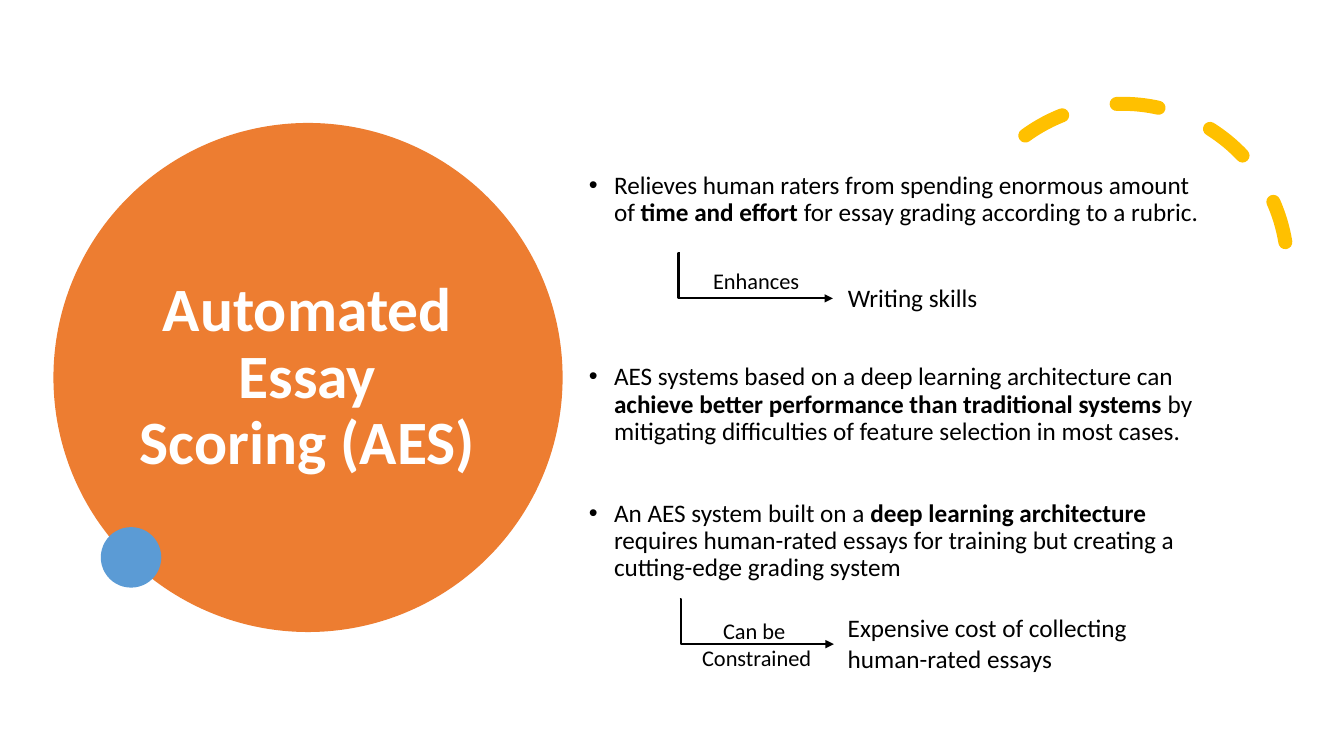
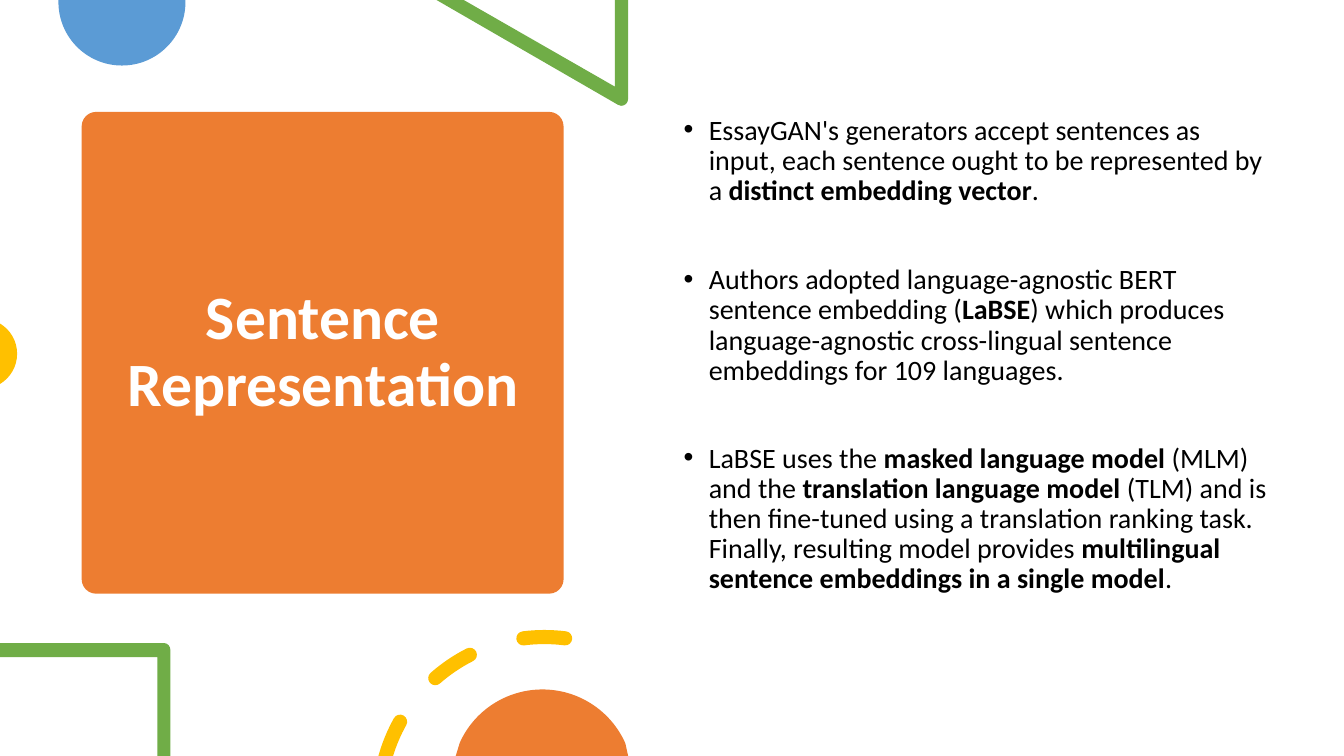
from dataclasses import dataclass
from math import asin, cos, degrees, radians, sin, tan

from lxml import etree
from pptx import Presentation
from pptx.dml.color import RGBColor
from pptx.enum.dml import MSO_LINE
from pptx.enum.shapes import MSO_CONNECTOR, MSO_SHAPE
from pptx.enum.text import MSO_ANCHOR, MSO_AUTO_SIZE, PP_ALIGN
from pptx.oxml.ns import qn
from pptx.util import Pt

ELLIPSE = MSO_SHAPE.OVAL
ROUNDED = MSO_SHAPE.ROUNDED_RECTANGLE
ARC = MSO_SHAPE.ARC
ELBOW = MSO_CONNECTOR.ELBOW
DASH = MSO_LINE.DASH
TOP, MIDDLE = MSO_ANCHOR.TOP, MSO_ANCHOR.MIDDLE
LEFT, CENTER = PP_ALIGN.LEFT, PP_ALIGN.CENTER
NO_AUTOFIT = MSO_AUTO_SIZE.NONE

EMU_PER_PX = 9144
SLIDE_WIDTH, SLIDE_HEIGHT = 1333, 750
INDENT = 25
FONT = "Calibri"
COLORS = {
    "orange": "ED7D31",
    "blue": "5B9BD5",
    "gold": "FFC000",
    "green": "70AD47",
    "white": "FFFFFF",
    "black": "000000",
}

Point = tuple[float, float]
Segment = tuple[Point, ...]


@dataclass(frozen=True)
class Box:
    left: int
    top: int
    width: int
    height: int

    def emu(self) -> list[int]:
        return [px(value) for value in (self.left, self.top, self.width, self.height)]


@dataclass(frozen=True)
class TextStyle:
    size: int
    color: str = "black"
    bold: bool = False
    alignment: PP_ALIGN = LEFT
    line_spacing: float = 1.0
    anchor: MSO_ANCHOR = TOP


@dataclass(frozen=True)
class Bullet:
    text: str
    space_before: int = 0


@dataclass(frozen=True)
class Label:
    box: Box
    lines: tuple[str, ...]
    style: TextStyle


@dataclass(frozen=True)
class ElbowArrow:
    box: Box
    bend: int


TITLE_STYLE = TextStyle(44, "white", True, CENTER, 0.9, MIDDLE)
ARROW_STYLE = TextStyle(16, alignment=CENTER)
RESULT_STYLE = TextStyle(18)

SCORING_BULLETS = (
    Bullet(
        "Relieves human raters from spending enormous amount of **time and effort **"
        "for essay grading according to a rubric."
    ),
    Bullet(
        "AES systems based on a deep learning architecture can **achieve better "
        "performance than traditional systems **by mitigating difficulties of "
        "feature selection in most cases.",
        98,
    ),
    Bullet(
        "An AES system built on a **deep learning architecture **requires human-rated "
        "essays for training but creating a cutting-edge grading system",
        39,
    ),
)
SENTENCE_BULLETS = (
    Bullet(
        "EssayGAN's generators accept sentences as input, each sentence ought to be "
        "represented by a **distinct embedding vector**."
    ),
    Bullet(
        "Authors adopted language-agnostic BERT sentence embedding (**LaBSE**) which "
        "produces language-agnostic cross-lingual sentence embeddings for 109 languages.",
        42,
    ),
    Bullet(
        "LaBSE uses the **masked language model **(MLM) and the **translation language "
        "model **(TLM) and is then fine-tuned using a translation ranking task. Finally, "
        "resulting model provides **multilingual sentence embeddings in a single model**.",
        41,
    ),
)
LABELS = (
    Label(Box(674, 607, 153, 64), ("Can be ", "Constrained"), ARROW_STYLE),
    Label(
        Box(831, 603, 316, 71),
        ("Expensive cost of collecting", "human-rated essays"),
        RESULT_STYLE,
    ),
    Label(Box(831, 275, 168, 40), ("Writing skills",), RESULT_STYLE),
    Label(Box(686, 260, 128, 37), ("Enhances",), ARROW_STYLE),
)
ARROWS = (
    ElbowArrow(Box(674, 594, 153, 45), 700),
    ElbowArrow(Box(674, 251, 152, 45), -700),
)

RING_CENTER = (540, 796)
RING_RADIUS = 164
DASH_RADIUS = 7
DASH_SWEEP = 14.5
DASH_STARTS = [194.7 + 34 * index for index in range(3)]


def px(value: float) -> int:
    return round(value * EMU_PER_PX)


def color(name: str) -> RGBColor:
    return RGBColor.from_string(COLORS[name])


def apply_format(target, values: dict) -> None:
    for name, value in values.items():
        setattr(target, name, value)


def on_circle(center: Point, radius: float, angle: float) -> Point:
    return (
        center[0] + radius * cos(radians(angle)),
        center[1] + radius * sin(radians(angle)),
    )


def lines(*points: Point) -> list[Segment]:
    return [(point,) for point in points]


def curve(center: Point, radius: float, start: float, end: float, count: int = 1) -> list[Segment]:
    step = (end - start) / count
    handle = 4 / 3 * tan(radians(step) / 4) * radius
    segments = []
    for index in range(count):
        first, last = start + index * step, start + (index + 1) * step
        begin, finish = (on_circle(center, radius, angle) for angle in (first, last))
        segments.append((
            on_circle(begin, handle, first + 90),
            on_circle(finish, handle, last - 90),
            finish,
        ))
    return segments


def dash_outline(start: float) -> list[Segment]:
    end = start + DASH_SWEEP
    outer, inner = RING_RADIUS + DASH_RADIUS, RING_RADIUS - DASH_RADIUS
    depth = RING_CENTER[1] - SLIDE_HEIGHT
    outer_start, inner_start = (
        max(start, 180 + degrees(asin(depth / radius))) for radius in (outer, inner)
    )
    end_center = on_circle(RING_CENTER, RING_RADIUS, end)
    outline = [
        *lines(on_circle(RING_CENTER, outer, outer_start)),
        *curve(RING_CENTER, outer, outer_start, end),
        *curve(end_center, DASH_RADIUS, end, end + 180, 2),
        *curve(RING_CENTER, inner, end, inner_start),
    ]
    if outer_start == start:
        start_center = on_circle(RING_CENTER, RING_RADIUS, start)
        outline += curve(start_center, DASH_RADIUS, start + 180, start + 360, 2)
    return outline


OUTLINES = (
    ("blue", [[*lines((184, 0), (58, 0), (58, 2)), *curve((121, 2), 63, 180, 0, 2)]]),
    ("green", [[
        *lines((623, 0), (610, 0), (610, 86), (460, 0), (433, 0), (613, 104)),
        ((614, 105), (615, 105), (616, 105)),
        ((620, 105), (623, 102), (623, 98)),
    ]]),
    ("gold", [[*lines((0, 321), (0, 381)), *curve((-18, 351), 35, 59, -59, 2)]]),
    ("green", [[
        *lines((163, 638), (0, 638), (0, 652), (156, 652), (156, 750), (169, 750), (169, 645)),
        ((169, 641), (166, 638), (163, 638)),
    ]]),
    ("gold", [dash_outline(start) for start in DASH_STARTS]),
    ("orange", [[
        *lines((452, 750), (456, 737)),
        *curve((538, 774), 90, 204, 336, 2),
        *lines((623, 750)),
    ]]),
)


def paint(shape, fill: str) -> None:
    shape.shadow.inherit = False
    shape.fill.solid()
    shape.fill.fore_color.rgb = color(fill)
    shape.line.fill.background()


def add_filled(slide, kind: MSO_SHAPE, box: Box, fill: str):
    shape = slide.shapes.add_shape(kind, *box.emu())
    paint(shape, fill)
    return shape


def bend_lines(shape, segments: list[Segment]) -> None:
    vertices = iter(list(shape._element.iter(qn("a:lnTo"))))
    for segment in segments:
        group = [next(vertices) for _ in segment]
        if len(group) == 3:
            bezier = etree.Element(qn("a:cubicBezTo"))
            group[0].addprevious(bezier)
            for vertex in group:
                bezier.append(vertex[0])
                vertex.getparent().remove(vertex)


def add_outline(slide, fill: str, contours: list[list[Segment]]) -> None:
    builder = None
    for contour in contours:
        (start,), *segments = contour
        origin = px(start[0]), px(start[1])
        if builder:
            builder.move_to(*origin)
        else:
            builder = slide.shapes.build_freeform(*origin)
        points = [(px(x), px(y)) for segment in segments for x, y in segment]
        builder.add_line_segments(points, close=True)
    shape = builder.convert_to_shape()
    bend_lines(shape, [segment for contour in contours for segment in contour[1:]])
    paint(shape, fill)


def add_dashed_arc(slide, box: Box) -> None:
    shape = slide.shapes.add_shape(ARC, *box.emu())
    shape.shadow.inherit = False
    shape.fill.background()
    shape.adjustments[0] = 158.17
    shape.adjustments[1] = 17.81
    shape.rotation = 330.2
    shape.line.color.rgb = color("gold")
    apply_format(shape.line, {"width": Pt(10), "dash_style": DASH})
    shape._element.spPr.find(qn("a:ln")).set("cap", "rnd")


def add_elbow_arrow(slide, arrow: ElbowArrow) -> None:
    box = arrow.box
    connector = slide.shapes.add_connector(
        ELBOW, px(box.left), px(box.top), px(box.left + box.width), px(box.top + box.height)
    )
    connector.line.color.rgb = color("black")
    connector.line.width = Pt(1.5)
    properties = connector._element.spPr
    etree.SubElement(properties.find(qn("a:ln")), qn("a:tailEnd"), type="triangle")
    adjustments = properties.find(qn("a:prstGeom")).find(qn("a:avLst"))
    etree.SubElement(adjustments, qn("a:gd"), name="adj1", fmla=f"val {arrow.bend}")
    etree.SubElement(properties, qn("a:effectLst"))


def write_paragraph(paragraph, bullet: Bullet, style: TextStyle) -> None:
    apply_format(paragraph, {
        "alignment": style.alignment,
        "line_spacing": style.line_spacing,
        "space_before": Pt(bullet.space_before),
    })
    for index, part in enumerate(bullet.text.split("**")):
        run = paragraph.add_run()
        run.text = part
        bold = style.bold or index % 2 == 1
        apply_format(run.font, {"name": FONT, "size": Pt(style.size), "bold": bold})
        run.font.color.rgb = color(style.color)


def write_text(shape, bullets: list[Bullet], style: TextStyle) -> None:
    frame = shape.text_frame
    apply_format(frame, {
        "word_wrap": True,
        "auto_size": NO_AUTOFIT,
        "vertical_anchor": style.anchor,
    })
    for index, bullet in enumerate(bullets):
        paragraph = frame.add_paragraph() if index else frame.paragraphs[0]
        write_paragraph(paragraph, bullet, style)


def place(shape, box: Box) -> None:
    apply_format(shape, dict(zip(("left", "top", "width", "height"), box.emu())))
    shape._element.getparent().append(shape._element)


def add_title(slide, text: str, box: Box) -> None:
    place(slide.shapes.title, box)
    write_text(slide.shapes.title, [Bullet(text)], TITLE_STYLE)


def add_body(slide, bullets: tuple[Bullet, ...], box: Box, size: int) -> None:
    body = slide.placeholders[1]
    place(body, box)
    write_text(body, list(bullets), TextStyle(size, line_spacing=0.9))
    for paragraph in body.text_frame.paragraphs:
        properties = paragraph._p.get_or_add_pPr()
        properties.set("marL", str(px(INDENT)))
        properties.set("indent", str(-px(INDENT)))


def build_scoring_slide(slide) -> None:
    add_filled(slide, ELLIPSE, Box(53, 122, 505, 505), "orange")
    add_title(slide, "Automated Essay Scoring (AES)", Box(128, 153, 354, 445))
    add_dashed_arc(slide, Box(950, 103, 327, 327))
    add_filled(slide, ELLIPSE, Box(100, 523, 60, 60), "blue")
    add_body(slide, SCORING_BULLETS, Box(574, 166, 631, 531), 18)
    for arrow in ARROWS:
        add_elbow_arrow(slide, arrow)
    for label in LABELS:
        shape = slide.shapes.add_textbox(*label.box.emu())
        write_text(shape, [Bullet(line) for line in label.lines], label.style)


def build_sentence_slide(slide) -> None:
    panel = add_filled(slide, ROUNDED, Box(81, 111, 478, 478), "orange")
    panel.adjustments[0] = 0.03
    add_title(slide, "Sentence Representation", Box(105, 122, 431, 456))
    for fill, contours in OUTLINES:
        add_outline(slide, fill, contours)
    add_body(slide, SENTENCE_BULLETS, Box(668, 110, 600, 548), 20)


def main() -> None:
    presentation = Presentation()
    apply_format(presentation, {
        "slide_width": px(SLIDE_WIDTH),
        "slide_height": px(SLIDE_HEIGHT),
    })
    for build in (build_scoring_slide, build_sentence_slide):
        build(presentation.slides.add_slide(presentation.slide_layouts[1]))
    presentation.save("out.pptx")


if __name__ == "__main__":
    main()
